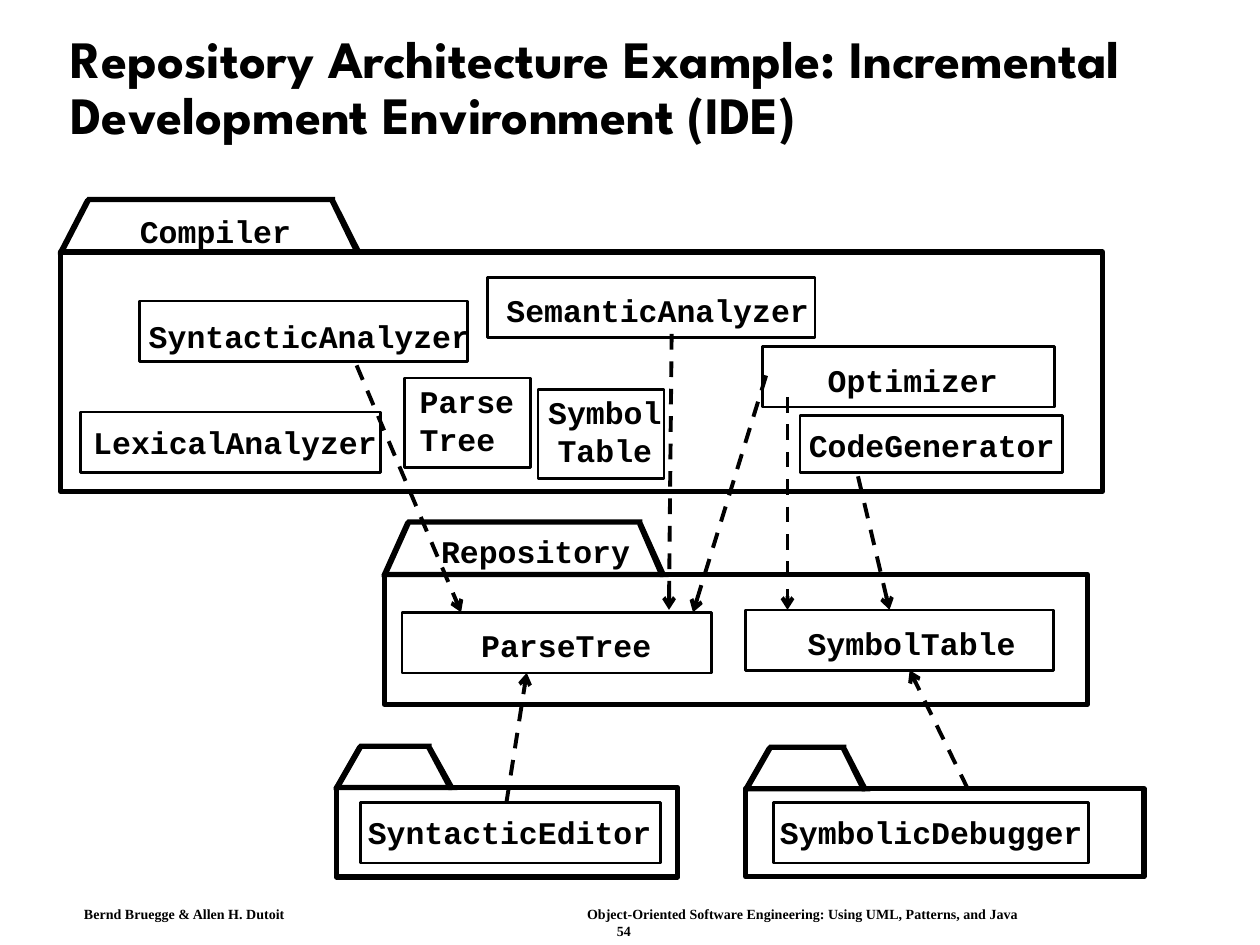
from collections import namedtuple

from lxml import etree
from pptx import Presentation
from pptx.dml import color
from pptx.enum import dml, shapes, text
from pptx.oxml import ns
from pptx.util import Pt

BLACK = color.RGBColor(0, 0, 0)
CODE_FONT = "Courier New"
CODE_SIZE = 18
CHAR_WIDTH = 10.8
LINE_HEIGHT = 21.6
SLACK = 2
HEAVY = 3
THIN = 1.5

Box = namedtuple("Box", "left top width height")
Tab = namedtuple("Tab", "inner_left inner_right right rise")
Class = namedtuple("Class", "box text_left text_top name align",
                   defaults=[text.PP_ALIGN.LEFT])
Package = namedtuple("Package", "box tab label classes")

PACKAGES = [
    Package(Box(34.6, 144, 595.4, 136.8), Tab(17, 158.4, 175, 33), (45.3, -23, "Compiler"), [
        Class(Box(11.5, 91.4, 171.4, 34.6), 7.2, 6.5, "LexicalAnalyzer"),
        Class(Box(45.3, 28.1, 187.2, 34.6), 5.1, 9.3, "SyntacticAnalyzer"),
        Class(Box(244, 14.4, 187.2, 34.6), 10.8, 7.9, "SemanticAnalyzer"),
        Class(Box(422.6, 93.6, 149.8, 32.4), 5, 5.8, "CodeGenerator"),
        Class(Box(401, 54, 167, 34.6), 37.4, 8.6, "Optimizer"),
        Class(Box(196.5, 72, 72, 51.1), 8.7, 2.2, "Parse\nTree"),
        Class(Box(272.8, 78.5, 72, 51.1), 4.8, 2.1, "Symbol\nTable", text.PP_ALIGN.CENTER),
    ]),
    Package(Box(219.6, 328.3, 401.8, 74.2), Tab(15, 149, 164, 33), (32.4, -24.5, "Repository"), [
        Class(Box(10.1, 21.6, 177.1, 34.6), 45.3, 7.9, "ParseTree"),
        Class(Box(206.6, 20.2, 175.7, 34.6), 35.3, 7.9, "SymbolTable"),
    ]),
    Package(Box(192.2, 450, 195.1, 51.1), Tab(15, 56, 70.6, 26.6), None, [
        Class(Box(13.7, 8.6, 171.4, 34.6), 4.3, 5.8, "SyntacticEditor"),
    ]),
    Package(Box(426.2, 450.7, 227.5, 50.4), Tab(15, 59, 72.7, 26.6), None, [
        Class(Box(15.9, 7.9, 180, 34.6), 3.6, 5.8, "SymbolicDebugger"),
    ]),
]

DEPENDENCIES = [
    (203.8, 208.8, 263.5, 349.9),
    (383.8, 190.8, 382.3, 348.5),
    (490.3, 272.2, 508.3, 348.5),
    (437.8, 214.6, 396, 349.9),
    (450, 226.8, 450, 348.5),
    (289.4, 458.6, 301, 384.5),
    (553, 450.7, 519.8, 383),
]


def points(*lengths):
    return [Pt(length) for length in lengths]


def format_text(frame, font, size, align):
    for para in frame.paragraphs:
        para.alignment = align
        for span in para.runs:
            span.font.name = font
            span.font.size = Pt(size)
            span.font.bold = True
            span.font.color.rgb = BLACK


def set_insets(frame, across, down):
    frame.margin_left = frame.margin_right = Pt(across)
    frame.margin_top = frame.margin_bottom = Pt(down)


def add_title(page, box, wording):
    title = page.shapes.title
    title.left, title.top, title.width, title.height = points(*box)
    frame = title.text_frame
    frame.text = wording
    frame.word_wrap = True
    frame.auto_size = text.MSO_AUTO_SIZE.NONE
    frame.vertical_anchor = text.MSO_ANCHOR.MIDDLE
    set_insets(frame, 7.2, 3.6)
    frame.paragraphs[0].line_spacing = 0.9
    format_text(frame, "League Spartan", 30, text.PP_ALIGN.LEFT)


def add_footer(page, box, authors, book, number):
    frame = page.shapes.add_textbox(*points(*box)).text_frame
    frame.text = f"{authors}\t{book}\n{number}"
    frame.word_wrap = True
    set_insets(frame, 6, 3)
    format_text(frame, "Times New Roman", 8, text.PP_ALIGN.LEFT)
    credit, page_number = frame.paragraphs
    page_number.alignment = text.PP_ALIGN.CENTER
    stops = etree.SubElement(credit._p.get_or_add_pPr(), ns.qn("a:tabLst"))
    etree.SubElement(stops, ns.qn("a:tab"), pos=str(Pt(287.5)), algn="l")


def add_outline(group, box, weight):
    outline = group.shapes.add_shape(shapes.MSO_SHAPE.RECTANGLE, *points(*box))
    outline.shadow.inherit = False
    outline.fill.background()
    outline.line.color.rgb = BLACK
    outline.line.width = Pt(weight)


def add_code(group, left, top, wording, align=text.PP_ALIGN.LEFT):
    lines = wording.split("\n")
    width = CHAR_WIDTH * max(map(len, lines)) + SLACK
    height = LINE_HEIGHT * len(lines)
    frame = group.shapes.add_textbox(*points(left, top, width, height)).text_frame
    frame.text = wording
    frame.word_wrap = False
    set_insets(frame, 0, 0)
    format_text(frame, CODE_FONT, CODE_SIZE, align)


def add_tab(group, box, tab):
    left, base = box.left - HEAVY / 2, box.top + HEAVY / 2
    top = base - tab.rise
    start, end, right = (left + offset for offset in tab[:3])
    half = HEAVY / 2
    strokes = [
        [(left, base - half), (left + HEAVY, base), (start + half, top + HEAVY),
         (start, top), (start - half, top + half)],
        [(start, top), (start, top + HEAVY), (end - half, top + HEAVY),
         (end, top + half), (end, top)],
        [(end, top + half), (end - HEAVY, top + HEAVY), (right - 5, base),
         (right, base), (right - half, base - half)],
        [(right - HEAVY, base), (right - HEAVY, base - HEAVY),
         (left + half, base - HEAVY), (left, base - half), (left, base)],
    ]
    for stroke in strokes:
        first, *rest = [points(*corner) for corner in stroke]
        builder = group.shapes.build_freeform(*first)
        builder.add_line_segments(rest, close=True)
        bar = builder.convert_to_shape()
        bar.shadow.inherit = False
        bar.fill.solid()
        bar.fill.fore_color.rgb = BLACK
        bar.line.fill.background()


def add_package(page, package):
    group = page.shapes.add_group_shape()
    box = package.box
    add_outline(group, box, HEAVY)
    add_tab(group, box, package.tab)
    if package.label:
        left, top, name = package.label
        add_code(group, box.left + left, box.top + top, name)
    for item in package.classes:
        left, top = box.left + item.box.left, box.top + item.box.top
        add_outline(group, item.box._replace(left=left, top=top), THIN)
        add_code(group, left + item.text_left, top + item.text_top, item.name, item.align)


def add_dependency(page, ends):
    arrow = page.shapes.add_connector(shapes.MSO_CONNECTOR.STRAIGHT, *points(*ends))
    arrow.line.color.rgb = BLACK
    arrow.line.width = Pt(2.25)
    arrow.line.dash_style = dml.MSO_LINE.DASH
    etree.SubElement(arrow.line._get_or_add_ln(), ns.qn("a:tailEnd"), type="arrow")
    etree.SubElement(arrow._element.spPr, ns.qn("a:effectLst"))


def main():
    deck = Presentation()
    deck.slide_width, deck.slide_height = points(720, 540)
    page = deck.slides.add_slide(deck.slide_layouts[5])
    add_footer(page, Box(42, 514.5, 629, 25), "Bernd Bruegge & Allen H. Dutoit",
               "Object-Oriented Software Engineering: Using UML, Patterns, and Java", "54")
    add_title(page, Box(33.1, 17.3, 659.5, 67.7),
              "Repository Architecture Example: Incremental Development Environment (IDE)")
    for package in PACKAGES:
        add_package(page, package)
    for ends in DEPENDENCIES:
        add_dependency(page, ends)
    deck.save("out.pptx")


if __name__ == "__main__":
    main()
